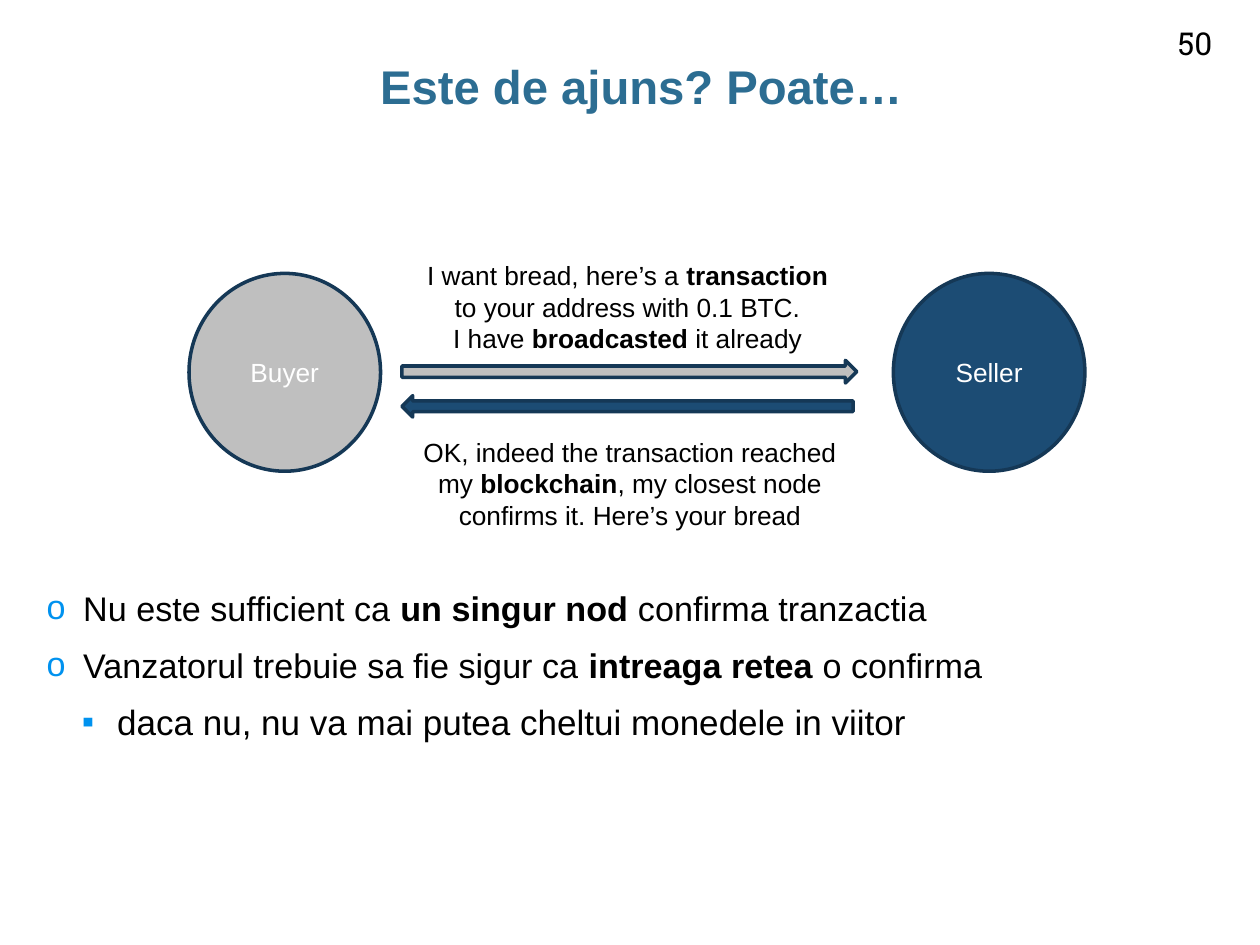
import dataclasses

import lxml.etree
import pptx
import pptx.dml.color
import pptx.enum.shapes
import pptx.enum.text
import pptx.oxml.ns
import pptx.util

Inches = pptx.util.Inches
Pt = pptx.util.Pt
RGBColor = pptx.dml.color.RGBColor
Anchor = pptx.enum.text.MSO_ANCHOR
Align = pptx.enum.text.PP_ALIGN
AutoShape = pptx.enum.shapes.MSO_SHAPE


@dataclasses.dataclass(frozen=True)
class Theme:
    """Colours, fonts and type sizes of the slide."""
    title: str = "2C6D92"
    text: str = "000000"
    light_text: str = "FFFFFF"
    bullet: str = "0092EF"
    buyer: str = "BFBFBF"
    seller: str = "1C4C74"
    outline: str = "153856"
    font: str = "Arial"
    number_font: str = "Roboto Slab"
    title_size: float = 27
    number_size: float = 18
    list_size: float = 19.5
    sublist_size: float = 20
    label_size: float = 15
    outline_width: float = 2


THEME = Theme()


def place(shape, box):
    """Move and size a shape to a box of left, top, width and height."""
    shape.left, shape.top, shape.width, shape.height = map(Inches, box)


def style(paragraph, size, color=THEME.text, name=THEME.font, align=Align.CENTER):
    """Set the alignment and font of a paragraph."""
    paragraph.alignment = align
    paragraph.font.size = Pt(size)
    paragraph.font.name = name
    paragraph.font.color.rgb = RGBColor.from_string(color)


def write_runs(paragraph, parts):
    """Add runs of text in which every second one is bold."""
    for index, part in enumerate(parts):
        run = paragraph.add_run()
        run.text = part
        if index % 2:
            run.font.bold = True


def add_bullet(paragraph, character, margin, indent):
    """Give a paragraph a coloured bullet and a hanging indent."""
    properties = paragraph._p.get_or_add_pPr()
    properties.set("marL", str(Inches(margin)))
    properties.set("indent", str(Inches(-indent)))
    qualify = pptx.oxml.ns.qn
    color = lxml.etree.SubElement(properties, qualify("a:buClr"))
    lxml.etree.SubElement(color, qualify("a:srgbClr"), val=THEME.bullet)
    lxml.etree.SubElement(properties, qualify("a:buFont"), typeface=THEME.font)
    lxml.etree.SubElement(properties, qualify("a:buChar"), char=character)


def fill_title(slide, box, text):
    """Place and format the title."""
    title = slide.shapes.title
    place(title, box)
    frame = title.text_frame
    frame.text = text
    frame.vertical_anchor = Anchor.TOP
    frame.margin_top = frame.margin_bottom = Inches(0.1)
    paragraph = frame.paragraphs[0]
    paragraph.line_spacing = 0.95
    style(paragraph, THEME.title_size, THEME.title)
    paragraph.font.bold = True


def add_number(slide, box, text):
    """Add the page number."""
    frame = slide.shapes.add_textbox(*map(Inches, box)).text_frame
    frame.word_wrap = True
    frame.vertical_anchor = Anchor.BOTTOM
    frame.text = text
    style(frame.paragraphs[0], THEME.number_size, name=THEME.number_font)


def fill_list(slide, box, items):
    """Fill the body placeholder with bulleted items."""
    body = slide.placeholders[1]
    place(body, box)
    frame = body.text_frame
    frame.auto_size = pptx.enum.text.MSO_AUTO_SIZE.NONE
    frame.vertical_anchor = Anchor.TOP
    frame.margin_left = frame.margin_right = 0
    for index, (level, parts) in enumerate(items):
        paragraph = frame.add_paragraph() if index else frame.paragraphs[0]
        paragraph.level = level
        if level:
            add_bullet(paragraph, "▪", 0.56, 0.28)
        else:
            add_bullet(paragraph, "o", 0.29, 0.29)
        paragraph.space_before = Pt(9 if index else 0)
        size = THEME.sublist_size if level else THEME.list_size
        style(paragraph, size, align=Align.LEFT)
        write_runs(paragraph, parts)


def add_figure(slide, kind, box, fill):
    """Add an outlined preset shape."""
    shape = slide.shapes.add_shape(kind, *map(Inches, box))
    shape.shadow.inherit = False
    shape.fill.solid()
    shape.fill.fore_color.rgb = RGBColor.from_string(fill)
    shape.line.color.rgb = RGBColor.from_string(THEME.outline)
    shape.line.width = Pt(THEME.outline_width)
    return shape


def add_party(slide, box, name, fill):
    """Add a circle for one party of the trade."""
    frame = add_figure(slide, AutoShape.OVAL, box, fill).text_frame
    frame.vertical_anchor = Anchor.MIDDLE
    frame.text = name
    style(frame.paragraphs[0], THEME.label_size, THEME.light_text)


def add_message(slide, box, paragraphs):
    """Add the centred wording of a message."""
    frame = slide.shapes.add_textbox(*map(Inches, box)).text_frame
    frame.word_wrap = True
    for index, parts in enumerate(paragraphs):
        paragraph = frame.add_paragraph() if index else frame.paragraphs[0]
        style(paragraph, THEME.label_size)
        write_runs(paragraph, parts)


def add_exchange(slide, box):
    """Draw both parties with a message each way between them."""
    left, top, width, height = box
    diameter = 1.52
    add_party(slide, (left + width - diameter, top, diameter, height), "Seller", THEME.seller)
    add_party(slide, (left, top, diameter, height), "Buyer", THEME.buyer)
    middle = left + 1.69
    add_figure(slide, AutoShape.RIGHT_ARROW, (middle, top + 0.69, 3.61, 0.18), THEME.buyer)
    reply = add_figure(slide, AutoShape.RIGHT_ARROW, (middle, top + 0.97, 3.58, 0.17), THEME.seller)
    reply.rotation = 180
    add_message(slide, (middle, top - 0.16, 3.58, 0.86), [
        ["I want bread, here’s a ", "transaction", " to your address with 0.1 BTC."],
        ["I have ", "broadcasted", " it already"],
    ])
    add_message(slide, (middle + 0.02, top + 1.24, 3.58, 0.86), [
        ["OK, indeed the transaction reached my ", "blockchain",
         ", my closest node confirms it. Here’s your bread"],
    ])


def main():
    """Build and save the presentation."""
    presentation = pptx.Presentation()
    presentation.slide_width = Inches(10)
    presentation.slide_height = Inches(7.5)
    slide = presentation.slides.add_slide(presentation.slide_layouts[1])
    fill_title(slide, (0.37, 0.39, 9.44, 0.79), "Este de ajuns? Poate…")
    add_number(slide, (9.16, 0.14, 0.65, 0.4), "50")
    fill_list(slide, (0.37, 4.61, 9.44, 1.72), [
        (0, ["Nu este sufficient ca ", "un singur nod ", "confirma tranzactia"]),
        (0, ["Vanzatorul trebuie sa fie sigur ca ", "intreaga retea ", "o confirma"]),
        (1, ["daca nu, nu va mai putea cheltui monedele in viitor"]),
    ])
    add_exchange(slide, (1.5, 2.17, 7.11, 1.57))
    presentation.save("out.pptx")


if __name__ == "__main__":
    main()
